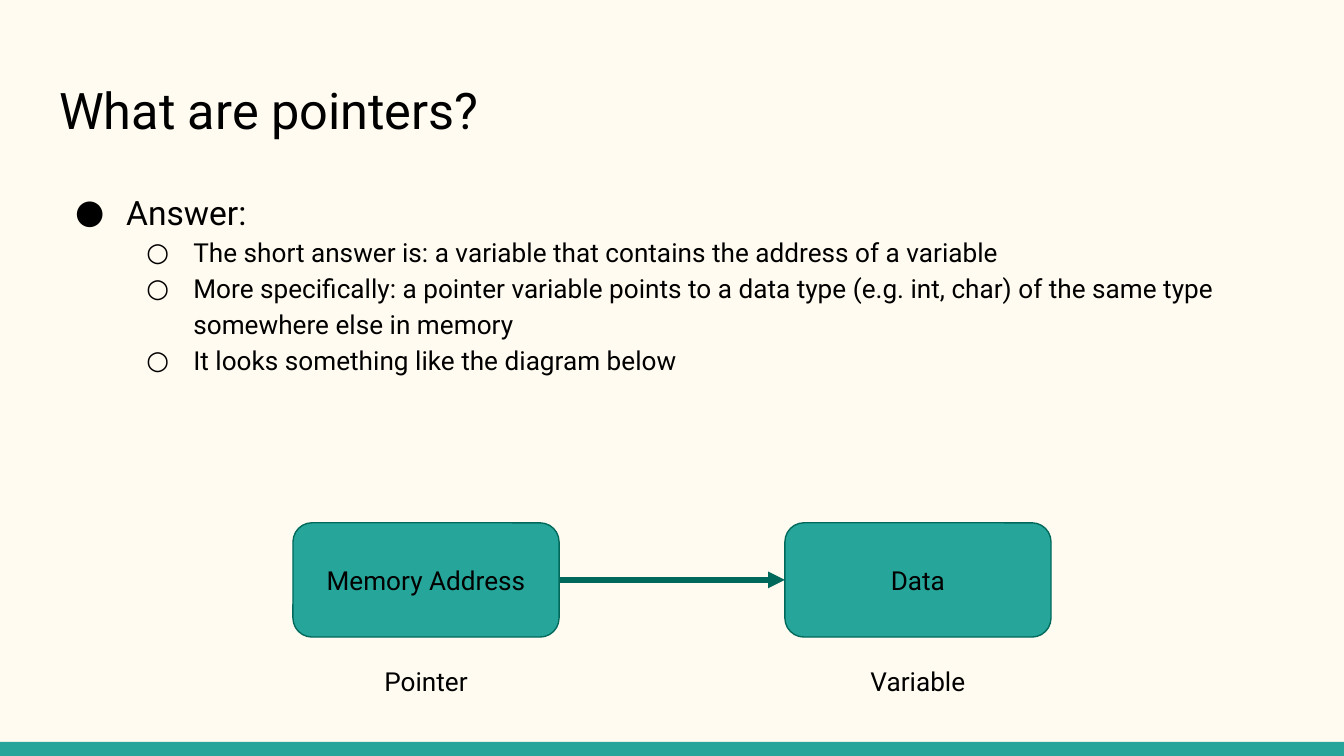
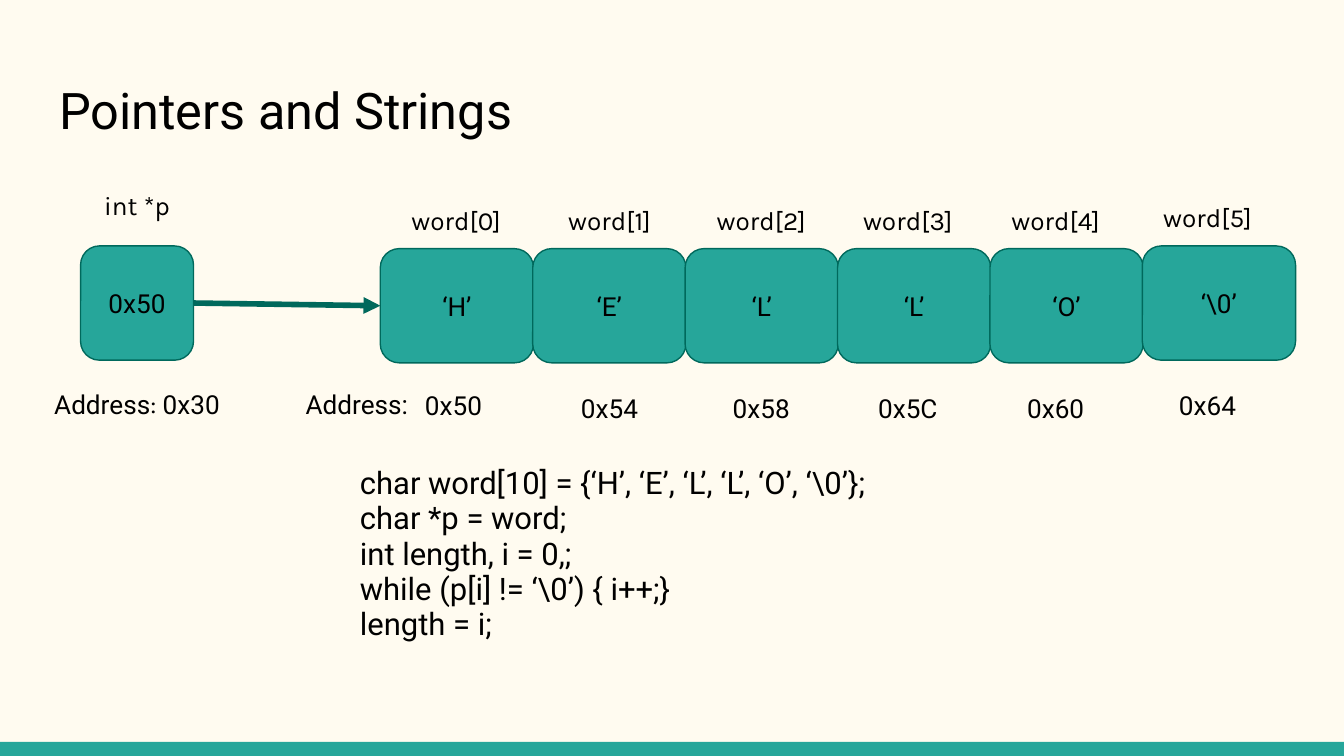
import collections

import pptx
import pptx.dml.color
import pptx.enum.shapes
import pptx.enum.text
import pptx.oxml
import pptx.oxml.ns
import pptx.util
from pptx.util import Inches

CREAM, TEAL, DARK_TEAL, BLACK = "FFFBF0", "26A69A", "00695C", "000000"
BODY_FONT, LABEL_FONT = "Roboto", "Karla"
PAGE_WIDTH = 10
PAGE_HEIGHT = PAGE_WIDTH * 9 / 16
LABEL_WIDTH, LABEL_HEIGHT = 1.63, 0.44
NODE_HEIGHT = 0.85
CELL_WIDTH, CELL_COUNT = 1.14, 6

Box = collections.namedtuple("Box", "left top width height")
Cell = collections.namedtuple("Cell", "letter address label_left address_left lift")

TITLE_BOX = Box(0.34, 0.49, 9.32, 0.67)
BAND_BOX = Box(0, 5.52, PAGE_WIDTH, PAGE_HEIGHT - 5.52)
ANSWERS = [
    "The short answer is: a variable that contains the address of a variable",
    "More specifically: a pointer variable points to a data type (e.g. int, char) "
    "of the same type somewhere else in memory",
    "It looks something like the diagram below",
]
CELLS = [
    Cell("‘H’", "0x50", -0.25, -0.27, 0),
    Cell("‘E’", "0x54", 0.89, 0.89, 0),
    Cell("‘L’", "0x58", 2.02, 2.02, 0),
    Cell("‘L’", "0x5C", 3.11, 3.11, 0),
    Cell("‘O’", "0x60", 4.21, 4.21, 0),
    Cell(r"‘\0’", "0x64", 5.34, 5.34, 0.02),
]
CODE = [
    r"char word[10] = {‘H’, ‘E’, ‘L’, ‘L’, ‘O’, ‘\0’};",
    "char *p = word;",
    "int length, i = 0,;",
    r"while (p[i] != ‘\0’) { i++;}",
    "length = i;",
]


def color(value):
    """Turn a hex string into a colour."""
    return pptx.dml.color.RGBColor.from_string(value)


def inches(box):
    """Return the four lengths of a box."""
    return [Inches(value) for value in box]


def add_span(para, text, size=14, font=BODY_FONT):
    """Add one formatted run."""
    span = para.add_run()
    span.text = text
    span.font.size = pptx.util.Pt(size)
    span.font.name = font
    span.font.color.rgb = color(BLACK)


def prepare_frame(shape, anchor=pptx.enum.text.MSO_ANCHOR.TOP):
    """Give a shape's text equal margins and wrapping."""
    frame = shape.text_frame
    frame.word_wrap = True
    frame.auto_size = pptx.enum.text.MSO_AUTO_SIZE.NONE
    frame.vertical_anchor = anchor
    frame.margin_left = frame.margin_right = Inches(0.1)
    frame.margin_top = frame.margin_bottom = Inches(0.1)
    return frame


def add_text_box(page, box):
    """Add an empty wrapped text box and return its frame."""
    return prepare_frame(page.shapes.add_textbox(*inches(box)))


def add_filled(page, kind, box):
    """Add a flat teal shape without an outline."""
    shape = page.shapes.add_shape(kind, *inches(box))
    shape.shadow.inherit = False
    shape.fill.solid()
    shape.fill.fore_color.rgb = color(TEAL)
    shape.line.fill.background()
    return shape


def add_page(deck, title):
    """Add a titled slide with the bottom band."""
    page = deck.slides.add_slide(deck.slide_layouts[5])
    add_filled(page, pptx.enum.shapes.MSO_SHAPE.RECTANGLE, BAND_BOX)
    heading = page.shapes.title
    heading.left, heading.top, heading.width, heading.height = inches(TITLE_BOX)
    para = prepare_frame(heading).paragraphs[0]
    para.alignment = pptx.enum.text.PP_ALIGN.LEFT
    add_span(para, title, 27)
    return page


def add_node(page, box, text):
    """Add a rounded memory box with centred text."""
    node = add_filled(page, pptx.enum.shapes.MSO_SHAPE.ROUNDED_RECTANGLE, box)
    node.line.color.rgb = color(DARK_TEAL)
    node.line.width = pptx.util.Pt(0.75)
    para = prepare_frame(node, pptx.enum.text.MSO_ANCHOR.MIDDLE).paragraphs[0]
    para.alignment = pptx.enum.text.PP_ALIGN.CENTER
    add_span(para, text)
    return node


def add_label(page, left, top, *spans):
    """Add a centred label made of (text, font) spans."""
    frame = add_text_box(page, Box(left, top, LABEL_WIDTH, LABEL_HEIGHT))
    frame.auto_size = pptx.enum.text.MSO_AUTO_SIZE.SHAPE_TO_FIT_TEXT
    para = frame.paragraphs[0]
    para.alignment = pptx.enum.text.PP_ALIGN.CENTER
    for text, font in spans:
        add_span(para, text, font=font)


def add_arrow(page, start, end):
    """Join the right side of one node to the left side of another."""
    arrow = page.shapes.add_connector(
        pptx.enum.shapes.MSO_CONNECTOR.STRAIGHT, 0, 0, 0, 0)
    arrow.begin_connect(start, 3)
    arrow.end_connect(end, 1)
    arrow.line.color.rgb = color(DARK_TEAL)
    arrow.line.width = pptx.util.Pt(3)
    properties = arrow.line._get_or_add_ln()
    head = pptx.oxml.ns.qn("a:tailEnd")
    properties.append(properties.makeelement(head, {"type": "triangle"}))
    effects = pptx.oxml.ns.qn("a:effectLst")
    arrow._element.spPr.append(arrow._element.makeelement(effects, {}))


def add_bullet(para, sign, text, size, margin, indent, level):
    """Fill a paragraph with a hanging bullet and its text."""
    para.level = level
    para.line_spacing = 1.15
    properties = para._p.get_or_add_pPr()
    properties.set("marL", str(Inches(margin)))
    properties.set("indent", str(Inches(indent)))
    space = pptx.oxml.ns.nsdecls("a")
    for markup in (f'<a:buClr {space}><a:srgbClr val="{BLACK}"/></a:buClr>',
                   f'<a:buFont {space} typeface="{BODY_FONT}"/>',
                   f'<a:buChar {space} char="{sign}"/>'):
        properties.append(pptx.oxml.parse_xml(markup))
    add_span(para, text, size)


def add_answers(page, box):
    """Add the bulleted answer list."""
    frame = add_text_box(page, box)
    add_bullet(frame.paragraphs[0], "●", "Answer:", 18, 0.5, -0.38, 0)
    for answer in ANSWERS:
        add_bullet(frame.add_paragraph(), "○", answer, 14, 1, -0.35, 1)


def add_pointer_diagram(page, box):
    """Draw the pointer and variable at the two ends of the box."""
    width = 1.98
    nodes = []
    for left, text, label in ((box.left, "Memory Address", "Pointer"),
                              (box.left + box.width - width, "Data", "Variable")):
        nodes.append(add_node(page, Box(left, box.top, width, NODE_HEIGHT), text))
        add_label(page, left + (width - LABEL_WIDTH) / 2,
                  box.top + box.height - LABEL_HEIGHT, (label, BODY_FONT))
    add_arrow(page, *nodes)


def add_pointer(page, box):
    """Draw the pointer with its name above and its address below."""
    left = box.left + (box.width - LABEL_WIDTH) / 2
    node = add_node(page, box, "0x50")
    add_label(page, left, box.top - 0.52, ("int *p", LABEL_FONT))
    add_label(page, left, box.top + 0.96, ("Address", BODY_FONT),
              (": ", LABEL_FONT), ("0x30", BODY_FONT))
    return node


def add_word(page, box):
    """Draw the letters of the word and return the first cell."""
    step = (box.width - CELL_WIDTH) / (CELL_COUNT - 1)
    nodes = []
    for index, cell in enumerate(CELLS):
        top = box.top - cell.lift
        nodes.append(add_node(
            page, Box(box.left + index * step, top, CELL_WIDTH, box.height),
            cell.letter))
        add_label(page, box.left + cell.label_left, top - 0.43,
                  (f"word[{index}]", LABEL_FONT))
        drop = 0.97 if index else 0.95
        add_label(page, box.left + cell.address_left, top + drop,
                  (cell.address, BODY_FONT))
    add_label(page, box.left - 0.99, box.top + 0.94, ("Address:", BODY_FONT))
    return nodes[0]


def add_code(page, box):
    """Add the code as one paragraph with line breaks."""
    para = add_text_box(page, box).paragraphs[0]
    para.line_spacing = 0.95
    para.space_after = pptx.util.Pt(12)
    for index, line in enumerate(CODE):
        if index:
            para.add_line_break()
        add_span(para, line, 16.6)


def build_pointers(deck):
    """Build the slide that defines pointers."""
    page = add_page(deck, "What are pointers?")
    add_answers(page, Box(0.34, 1.28, 9.32, 1.59))
    add_pointer_diagram(page, Box(2.18, 3.89, 5.64, 1.4))


def build_strings(deck):
    """Build the slide on pointers and strings."""
    page = add_page(deck, "Pointers and Strings")
    pointer = add_pointer(page, Box(0.6, 1.83, 0.84, NODE_HEIGHT))
    first = add_word(page, Box(2.83, 1.85, 6.81, NODE_HEIGHT))
    add_arrow(page, pointer, first)
    add_code(page, Box(2.58, 3.37, 4.99, 1.62))


def main():
    """Build and save the deck."""
    deck = pptx.Presentation()
    deck.slide_width, deck.slide_height = Inches(PAGE_WIDTH), Inches(PAGE_HEIGHT)
    background = deck.slide_master.background.fill
    background.solid()
    background.fore_color.rgb = color(CREAM)
    build_pointers(deck)
    build_strings(deck)
    deck.save("out.pptx")


if __name__ == "__main__":
    main()
